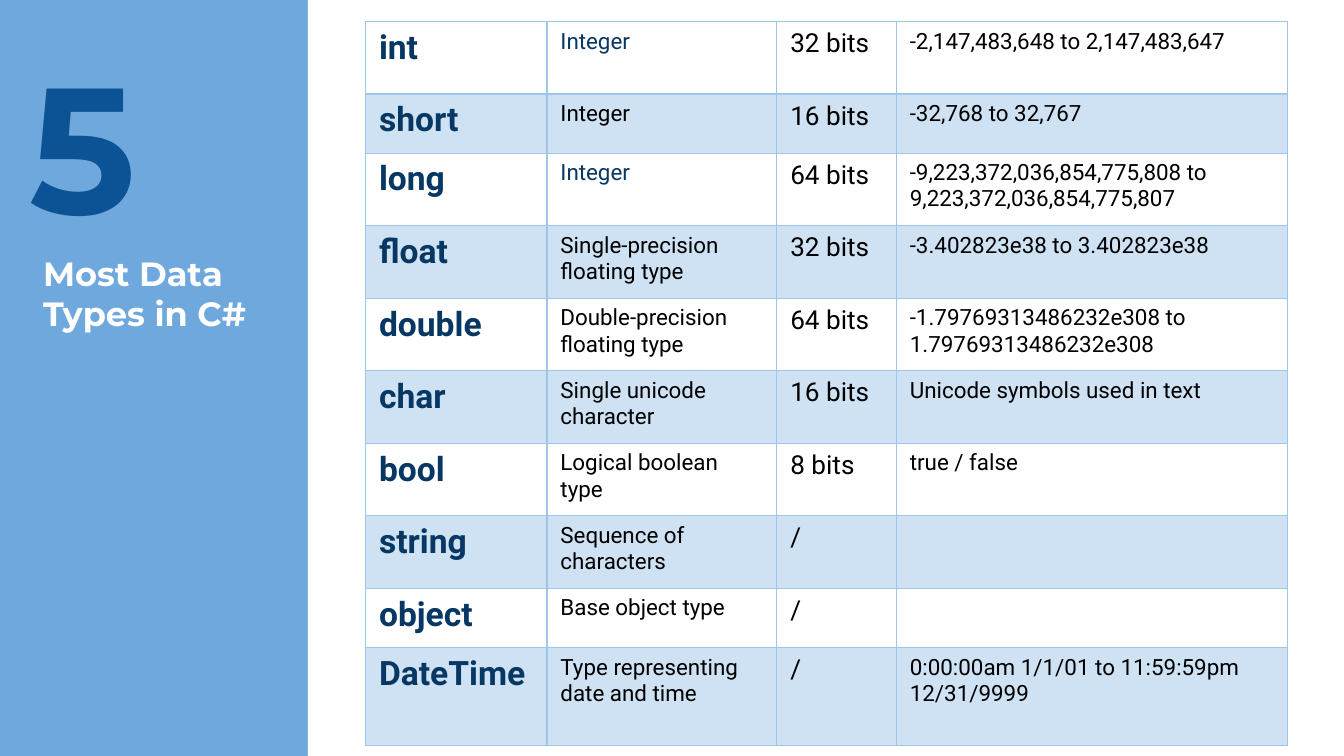
"""Builds a slide with a table of the most used C# data types."""
from lxml import etree
from pptx import Presentation
from pptx.dml.color import RGBColor
from pptx.enum.shapes import MSO_SHAPE
from pptx.enum.text import MSO_ANCHOR, MSO_AUTO_SIZE, PP_ALIGN
from pptx.oxml.ns import qn
from pptx.util import Inches, Pt

RECTANGLE = MSO_SHAPE.RECTANGLE
TOP = MSO_ANCHOR.TOP
LEFT = PP_ALIGN.LEFT
NO_AUTOFIT = MSO_AUTO_SIZE.NONE

COLORS = {
    "side": "6FA8DC",
    "panel": "FFFFFF",
    "number": "0B5394",
    "keyword": "073763",
    "text": "000000",
    "band": "CFE2F3",
    "border": "9FC5E8",
}
TITLE = "Most Data Types in C#"
NUMBER = "5"
DATA_TYPES = [
    ("int", "Integer", "32 bits", "-2,147,483,648 to 2,147,483,647"),
    ("short", "Integer", "16 bits", "-32,768 to 32,767"),
    ("long", "Integer", "64 bits", "-9,223,372,036,854,775,808 to 9,223,372,036,854,775,807"),
    ("float", "Single-precision floating type", "32 bits", "-3.402823e38 to 3.402823e38"),
    ("double", "Double-precision floating type", "64 bits",
     "-1.79769313486232e308 to 1.79769313486232e308"),
    ("char", "Single unicode character", "16 bits", "Unicode symbols used in text"),
    ("bool", "Logical boolean type", "8 bits", "true / false"),
    ("string", "Sequence of characters", "/", ""),
    ("object", "Base object type", "/", ""),
    ("DateTime", "Type representing date and time", "/",
     "0:00:00am 1/1/01 to 11:59:59pm 12/31/9999"),
]
DARK_DESCRIPTIONS = {"int", "long"}
COLUMN_WIDTHS = [1.35, 1.71, 0.89, 2.91]
COLUMN_SIZES = [18, 12, 14, 12]
ROW_HEIGHT = 0.54
SPECIAL_HEIGHTS = {"short": 0.44, "object": 0.44, "DateTime": 0.73}


def rgb(name):
    return RGBColor.from_string(COLORS[name])


def write(frame, text, *, size, color, font="Roboto", bold=False):
    paragraph = frame.paragraphs[0]
    paragraph.alignment = LEFT
    run = paragraph.add_run()
    run.text = text
    run.font.size = Pt(size)
    run.font.name = font
    run.font.bold = bold
    run.font.color.rgb = rgb(color)


def prepare_frame(shape):
    frame = shape.text_frame
    frame.word_wrap = True
    frame.auto_size = NO_AUTOFIT
    frame.vertical_anchor = TOP
    frame.margin_left = frame.margin_right = Inches(0.1)
    frame.margin_top = frame.margin_bottom = Inches(0.1)
    return frame


def add_borders(cell):
    properties = cell._tc.get_or_add_tcPr()
    for side in ("a:lnL", "a:lnR", "a:lnT", "a:lnB"):
        line = etree.SubElement(properties, qn(side), w=str(Pt(0.74)))
        fill = etree.SubElement(line, qn("a:solidFill"))
        etree.SubElement(fill, qn("a:srgbClr"), val=COLORS["border"])


deck = Presentation()
deck.slide_width = Inches(10)
deck.slide_height = deck.slide_width * 9 // 16
slide = deck.slides.add_slide(deck.slide_layouts[5])
slide.background.fill.solid()
slide.background.fill.fore_color.rgb = rgb("side")

panel = slide.shapes.add_shape(RECTANGLE, Inches(2.29), 0, Inches(7.71), deck.slide_height)
panel.shadow.inherit = False
panel.fill.solid()
panel.fill.fore_color.rgb = rgb("panel")
panel.line.fill.background()

heading = slide.shapes.title
heading.left, heading.top = Inches(0.22), Inches(1.78)
heading.width, heading.height = Inches(1.87), Inches(0.94)
write(prepare_frame(heading), TITLE, size=18, color="panel", font="Montserrat", bold=True)

types_frame = slide.shapes.add_table(
    len(DATA_TYPES), len(COLUMN_WIDTHS), Inches(2.72), Inches(0.16),
    Inches(sum(COLUMN_WIDTHS)), Inches(5.25))
types = types_frame.table
types.first_row = types.horz_banding = False
for column, width in zip(types.columns, COLUMN_WIDTHS):
    column.width = Inches(width)

for row_index, data_type in enumerate(DATA_TYPES):
    keyword = data_type[0]
    types.rows[row_index].height = Inches(SPECIAL_HEIGHTS.get(keyword, ROW_HEIGHT))
    for column_index, text in enumerate(data_type):
        cell = types.cell(row_index, column_index)
        add_borders(cell)
        if row_index % 2:
            cell.fill.solid()
            cell.fill.fore_color.rgb = rgb("band")
        else:
            cell.fill.background()
        is_keyword = column_index == 0
        is_dark = is_keyword or (column_index == 1 and keyword in DARK_DESCRIPTIONS)
        if text:
            write(cell.text_frame, text, size=COLUMN_SIZES[column_index],
                  color="keyword" if is_dark else "text", bold=is_keyword)

number = slide.shapes.add_textbox(Inches(0.12), Inches(0.16), Inches(1.98), Inches(1.37))
write(prepare_frame(number), NUMBER, size=96, color="number", font="Montserrat", bold=True)

deck.save("out.pptx")
